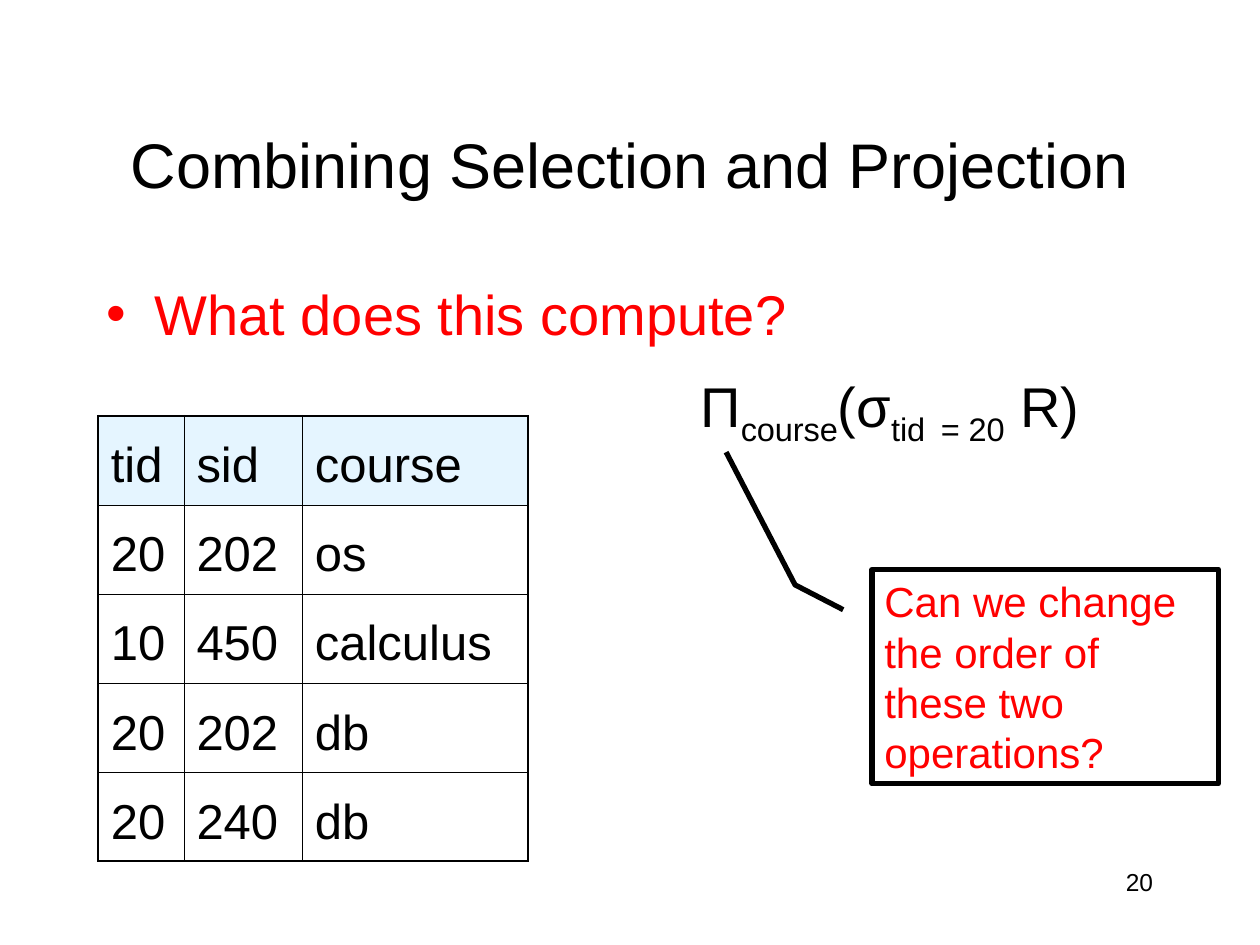
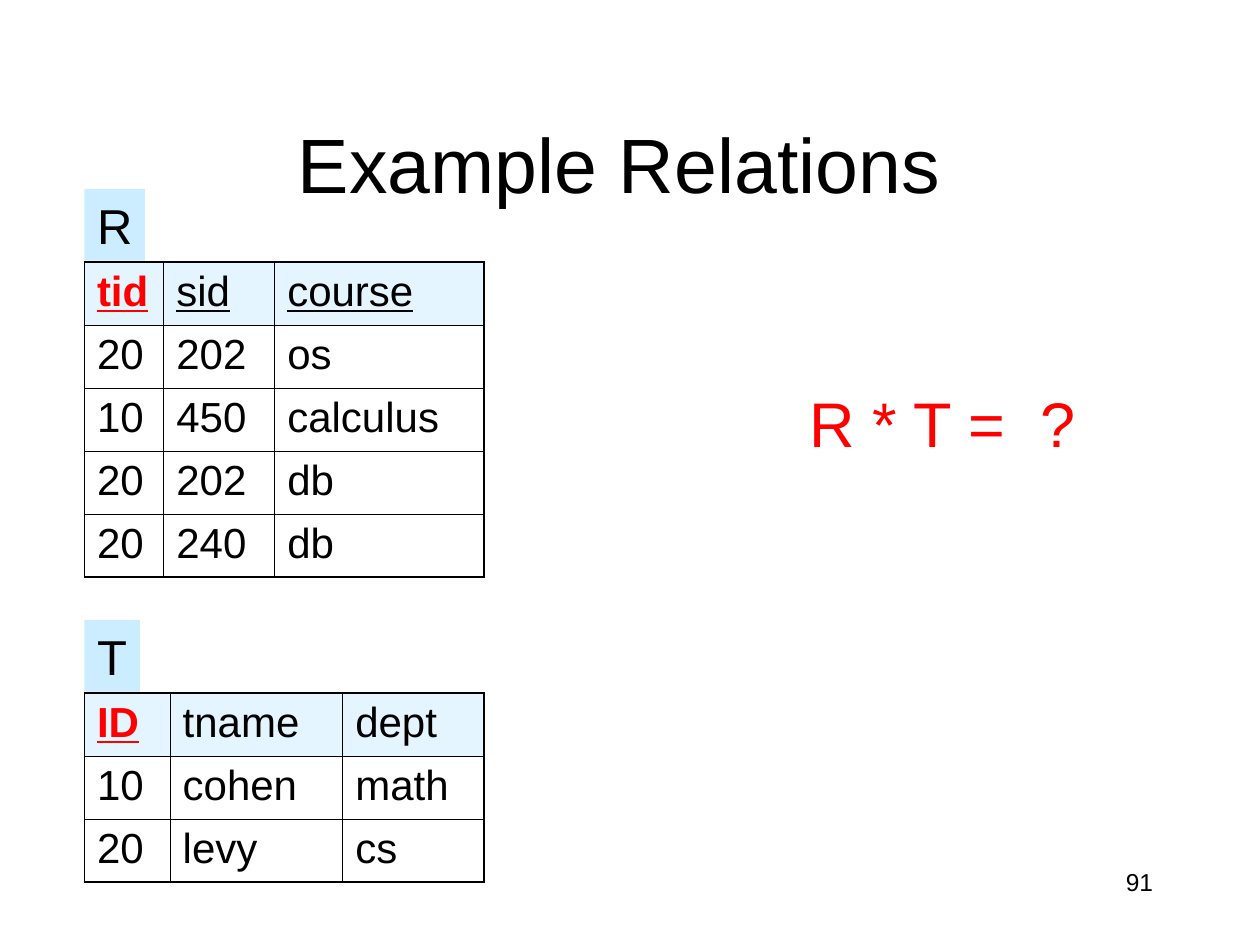
"""Builds two slides on relational algebra: selection with projection, and a join of two relations."""
from lxml import etree
from pptx import Presentation
from pptx.dml.color import RGBColor
from pptx.enum.shapes import MSO_SHAPE
from pptx.enum.text import MSO_ANCHOR, MSO_AUTO_SIZE, PP_ALIGN
from pptx.oxml.ns import qn
from pptx.util import Inches, Pt

COLORS = {"text": "000000", "accent": "FF0000", "label": "CCECFF"}
FONT = "Arial"
THIN, THICK = 0.45, 1.08

COURSE_ROWS = [
    ["20", "202", "os"],
    ["10", "450", "calculus"],
    ["20", "202", "db"],
    ["20", "240", "db"],
]
TEACHER_ROWS = [["10", "cohen", "math"], ["20", "levy", "cs"]]

KEY = {"color": "accent", "bold": True, "underline": True}
LINKED = {"underline": True}

COMBINED = {
    "at": (0.78, 3.3), "cols": [0.68, 0.94, 1.79], "row_height": 0.706,
    "size": 28, "spacing": 1.3,
    "header": [("tid", {}), ("sid", {}), ("course", {})], "rows": COURSE_ROWS,
}
RELATIONS = {
    "R": {
        "at": (0.67, 2.08), "cols": [0.63, 0.88, 1.66], "row_height": 0.5,
        "size": 24, "spacing": 1, "label_width": 0.48,
        "header": [("tid", KEY), ("sid", LINKED), ("course", LINKED)],
        "rows": COURSE_ROWS,
    },
    "T": {
        "at": (0.67, 5.5), "cols": [0.68, 1.37, 1.12], "row_height": 0.5,
        "size": 24, "spacing": 1, "label_width": 0.44,
        "header": [("ID", KEY), ("tname", {}), ("dept", {})],
        "rows": TEACHER_ROWS,
    },
}
LABEL_HEIGHT = 0.57
FORMULA = [("Π", False), ("course", True), ("(σ", False), ("tid", True),
           (" ", False), ("= 20", True), (" R)", False)]
CALLOUT_ADJUSTMENTS = [0.188, -0.083, 0.072, -0.222, -0.548, -0.421]


def rgb(name):
    return RGBColor.from_string(COLORS[name])


def add_run(p, text, size, color="text", bold=False, underline=False):
    r = p.add_run()
    r.text = text
    f = r.font
    f.name, f.size, f.bold, f.underline = FONT, Pt(size), bold, underline
    f.color.rgb = rgb(color)
    return r


def add_box(s, at, wrap=True):
    tf = s.shapes.add_textbox(*map(Inches, at)).text_frame
    tf.word_wrap = wrap
    return tf.paragraphs[0]


def add_slide(prs, title, size, number):
    s = prs.slides.add_slide(prs.slide_layouts[5])
    sp = s.shapes.title
    sp.left, sp.top, sp.width, sp.height = map(Inches, (0.75, 0.67, 8.5, 1.25))
    tf = sp.text_frame
    tf.vertical_anchor, tf.auto_size = MSO_ANCHOR.MIDDLE, MSO_AUTO_SIZE.NONE
    p = tf.paragraphs[0]
    p.alignment = PP_ALIGN.CENTER
    add_run(p, title, size)
    p = add_box(s, (7.17, 6.83, 2.08, 0.5))
    p.alignment = PP_ALIGN.RIGHT
    add_run(p, number, 14)
    return s


def set_borders(cell, widths):
    tc_pr = cell._tc.get_or_add_tcPr()
    for i, (side, width) in enumerate(widths.items()):
        ln = etree.Element(qn(f"a:ln{side}"), w=str(Pt(width)))
        fill = etree.SubElement(ln, qn("a:solidFill"))
        etree.SubElement(fill, qn("a:srgbClr"), val=COLORS["text"])
        tc_pr.insert(i, ln)


def fill_header(cell):
    cell.fill.solid()
    cell.fill.fore_color.rgb = rgb("label")
    color = cell._tc.tcPr.find(".//" + qn("a:srgbClr"))
    etree.SubElement(color, qn("a:alpha"), val="50000")


def add_relation(s, rel):
    rows = [rel["header"]] + [[(text, {}) for text in row] for row in rel["rows"]]
    last_row, last_col = len(rows) - 1, len(rel["cols"]) - 1
    size = sum(rel["cols"]), rel["row_height"] * len(rows)
    table = s.shapes.add_table(len(rows), len(rel["cols"]),
                               *map(Inches, rel["at"] + size)).table
    table.first_row = table.horz_banding = False
    for column, width in zip(table.columns, rel["cols"]):
        column.width = Inches(width)
    for i, row in enumerate(rows):
        table.rows[i].height = Inches(rel["row_height"])
        for j, (text, style) in enumerate(row):
            cell = table.cell(i, j)
            if i == 0:
                fill_header(cell)
            else:
                cell.fill.background()
            outer = {"L": j == 0, "R": j == last_col, "T": i == 0, "B": i == last_row}
            set_borders(cell, {side: THICK if edge else THIN for side, edge in outer.items()})
            p = cell.text_frame.paragraphs[0]
            p.line_spacing = float(rel["spacing"])
            add_run(p, text, rel["size"], **style)


def add_label(s, name, rel):
    left, top = rel["at"]
    at = left, top - LABEL_HEIGHT - 0.01, rel["label_width"], LABEL_HEIGHT
    sp = s.shapes.add_shape(MSO_SHAPE.RECTANGLE, *map(Inches, at))
    sp.shadow.inherit = False
    sp.fill.solid()
    sp.fill.fore_color.rgb = rgb("label")
    sp.line.fill.background()
    tf = sp.text_frame
    tf.word_wrap, tf.vertical_anchor = False, MSO_ANCHOR.TOP
    p = tf.paragraphs[0]
    p.alignment = PP_ALIGN.CENTER
    add_run(p, name, 28)


def add_question(s, text):
    p = add_box(s, (0.75, 2.17, 8.5, 4.5))
    p_pr = p._p.get_or_add_pPr()
    p_pr.set("marL", str(Inches(0.38)))
    p_pr.set("indent", str(-Inches(0.38)))
    color = etree.SubElement(p_pr, qn("a:buClr"))
    etree.SubElement(color, qn("a:srgbClr"), val=COLORS["accent"])
    etree.SubElement(p_pr, qn("a:buFont"), typeface=FONT)
    etree.SubElement(p_pr, qn("a:buChar"), char="•")
    add_run(p, text, 32, "accent")


def add_callout(s, text):
    sp = s.shapes.add_shape(MSO_SHAPE.LINE_CALLOUT_2, *map(Inches, (6.92, 4.52, 2.75, 1.7)))
    for i, value in enumerate(CALLOUT_ADJUSTMENTS):
        sp.adjustments[i] = value
    sp.shadow.inherit = False
    sp.fill.background()
    sp.line.color.rgb = rgb("text")
    sp.line.width = Pt(3)
    tf = sp.text_frame
    tf.word_wrap, tf.vertical_anchor = True, MSO_ANCHOR.MIDDLE
    p = tf.paragraphs[0]
    p.alignment = PP_ALIGN.LEFT
    add_run(p, text, 24, "accent")


def add_formula(s):
    p = add_box(s, (5.46, 2.9, 3.23, 0.71), wrap=False)
    for text, subscript in FORMULA:
        r = add_run(p, text, 32)
        if subscript:
            r.font._element.set("baseline", "-25000")


def main():
    prs = Presentation()
    prs.slide_width, prs.slide_height = Inches(10), Inches(7.5)

    s = add_slide(prs, "Combining Selection and Projection", 36, "20")
    add_question(s, "What does this compute?")
    add_relation(s, COMBINED)
    add_callout(s, "Can we change the order of these two operations?")
    add_formula(s)

    s = add_slide(prs, "Example Relations ", 44, "91")
    for name, rel in RELATIONS.items():
        add_relation(s, rel)
        add_label(s, name, rel)
    add_run(add_box(s, (6.33, 3, 2.58, 0.7)), "R * T =  ?", 36, "accent")

    prs.save("out.pptx")


if __name__ == "__main__":
    main()
